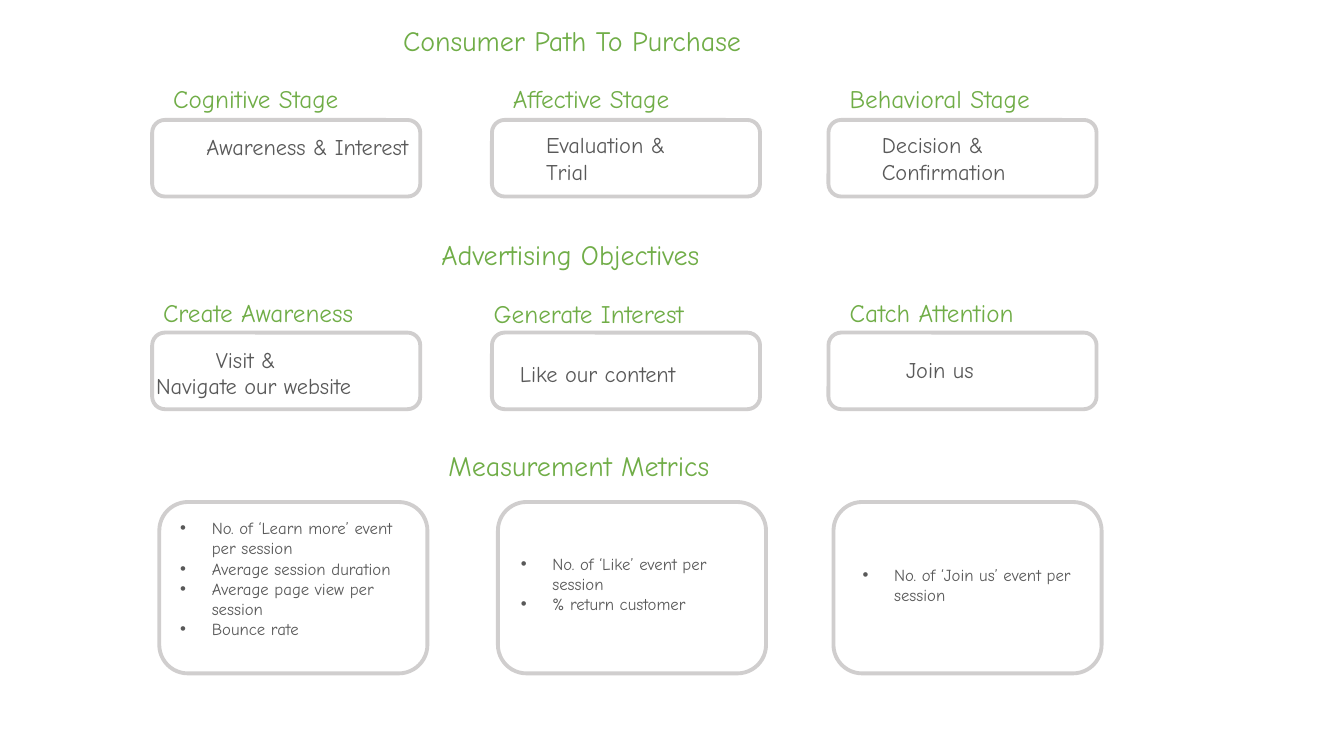
from lxml import etree
from pptx import Presentation
from pptx import util as u
from pptx.dml.color import RGBColor
from pptx.enum import shapes, text
from pptx.oxml import ns

GREEN = RGBColor(0x70, 0xAD, 0x47)
DARK_GREY = RGBColor(0x59, 0x59, 0x59)
LIGHT_GREY = RGBColor(0xD0, 0xCE, 0xCE)
FONT = "Comic Neue"

TITLE = (20, GREEN)
HEADING = (18, GREEN)
BODY = (16, DARK_GREY)
METRIC = (12, DARK_GREY)

FRAME_FORMAT = {
    "word_wrap": True,
    "auto_size": text.MSO_AUTO_SIZE.NONE,
    "vertical_anchor": text.MSO_ANCHOR.TOP,
    "margin_left": u.Pt(7.2),
    "margin_right": u.Pt(7.2),
    "margin_top": u.Pt(3.6),
    "margin_bottom": u.Pt(3.6),
}

COLUMN_LEFTS = (108.7, 351.4, 591.8)
METRIC_LEFTS = (113.8, 355.7, 595.4)
BOX_WIDTH = 191.5
BULLET_INDENT = 22.5
VISIT_INDENT = 42.8

SECTIONS = (
    ("Advertising Objectives", 308.2, 166.3),
    ("Measurement Metrics", 313.2, 316.8),
)
BOX_ROWS = (
    (COLUMN_LEFTS, 85.7, 54.7),
    (COLUMN_LEFTS, 237.6, 54.7),
    (METRIC_LEFTS, 358.6, 122.4),
)
HEADINGS = (
    ("Cognitive Stage", 116.6, 56.2),
    ("Affective Stage", 359.3, 56.2),
    ("Behavioral Stage", 599.8, 56.2),
    ("Create Awareness", 109.4, 208.8),
    ("Generate Interest", 345.6, 209.5),
    ("Catch Attention", 599.8, 208.8),
)
BODIES = (
    (("Awareness & Interest",), 140.4, 91.4),
    (("Evaluation &", "Trial"), 383, 90),
    (("Decision &", "Confirmation"), 622.8, 90),
    (("Visit &", "Navigate our website"), 104.4, 243.4),
    (("Like our content",), 364.3, 253.4),
    (("Join us",), 640.1, 250.6),
)
METRICS = (
    (("No. of ‘Learn more’ event per session", "Average session duration",
      "Average page view per session", "Bounce rate"), 121.7, 366.5, 108.7),
    (("No. of ‘Like’ event per session", "% return customer"), 365, 391.7, 51.1),
    (("No. of ‘Join us’ event per session",), 609.1, 399.6, 51.1),
)


def set_values(target, values):
    for name, value in values.items():
        setattr(target, name, value)


def place(shape, left, top, width, height):
    set_values(shape, {"left": u.Pt(left), "top": u.Pt(top),
                       "width": u.Pt(width), "height": u.Pt(height)})


def indent(paragraph, left, first=0):
    properties = paragraph._p.get_or_add_pPr()
    properties.set("marL", str(u.Pt(left)))
    properties.set("indent", str(u.Pt(first)))
    return properties


def add_bullet(paragraph):
    properties = indent(paragraph, BULLET_INDENT, -BULLET_INDENT)
    etree.SubElement(properties, ns.qn("a:buFont"), typeface="Arial")
    etree.SubElement(properties, ns.qn("a:buChar"), char="•")


def write(shape, lines, style, bulleted=False):
    size, colour = style
    frame = shape.text_frame
    set_values(frame, FRAME_FORMAT)
    for index, line in enumerate(lines):
        paragraph = frame.add_paragraph() if index else frame.paragraphs[0]
        paragraph.alignment = text.PP_ALIGN.LEFT
        if bulleted:
            add_bullet(paragraph)
        run = paragraph.add_run()
        run.text = line
        set_values(run.font, {"name": FONT, "size": u.Pt(size)})
        run.font.color.rgb = colour


def add_text(slide, lines, left, top, width, height, style, bulleted=False):
    shape = slide.shapes.add_textbox(0, 0, 0, 0)
    place(shape, left, top, width, height)
    write(shape, lines, style, bulleted)
    return shape


def add_box(slide, left, top, height):
    shape = slide.shapes.add_shape(
        shapes.MSO_SHAPE.ROUNDED_RECTANGLE,
        u.Pt(left), u.Pt(top), u.Pt(BOX_WIDTH), u.Pt(height))
    shape.shadow.inherit = False
    shape.fill.background()
    shape.line.color.rgb = LIGHT_GREY
    shape.line.width = u.Pt(2.75)


def main():
    presentation = Presentation()
    set_values(presentation, {"slide_width": u.Pt(960), "slide_height": u.Pt(540)})
    slide = presentation.slides.add_slide(presentation.slide_layouts[5])

    title = slide.shapes.title
    place(title, 280.8, 13, 435.6, 31.7)
    write(title, ("Consumer Path To Purchase",), TITLE)

    for lefts, top, height in BOX_ROWS:
        for left in lefts:
            add_box(slide, left, top, height)
    for line, left, top in SECTIONS:
        add_text(slide, (line,), left, top, 435.6, 31.7, TITLE)
    for line, left, top in HEADINGS:
        add_text(slide, (line,), left, top, 205, 28.8, HEADING)
    for lines, left, top in BODIES:
        shape = add_text(slide, lines, left, top, 225, 46, BODY)
        if lines[0] == "Visit &":
            indent(shape.text_frame.paragraphs[0], VISIT_INDENT)
    for lines, left, top, height in METRICS:
        add_text(slide, lines, left, top, 182.2, height, METRIC, bulleted=True)

    presentation.save("out.pptx")


if __name__ == "__main__":
    main()
